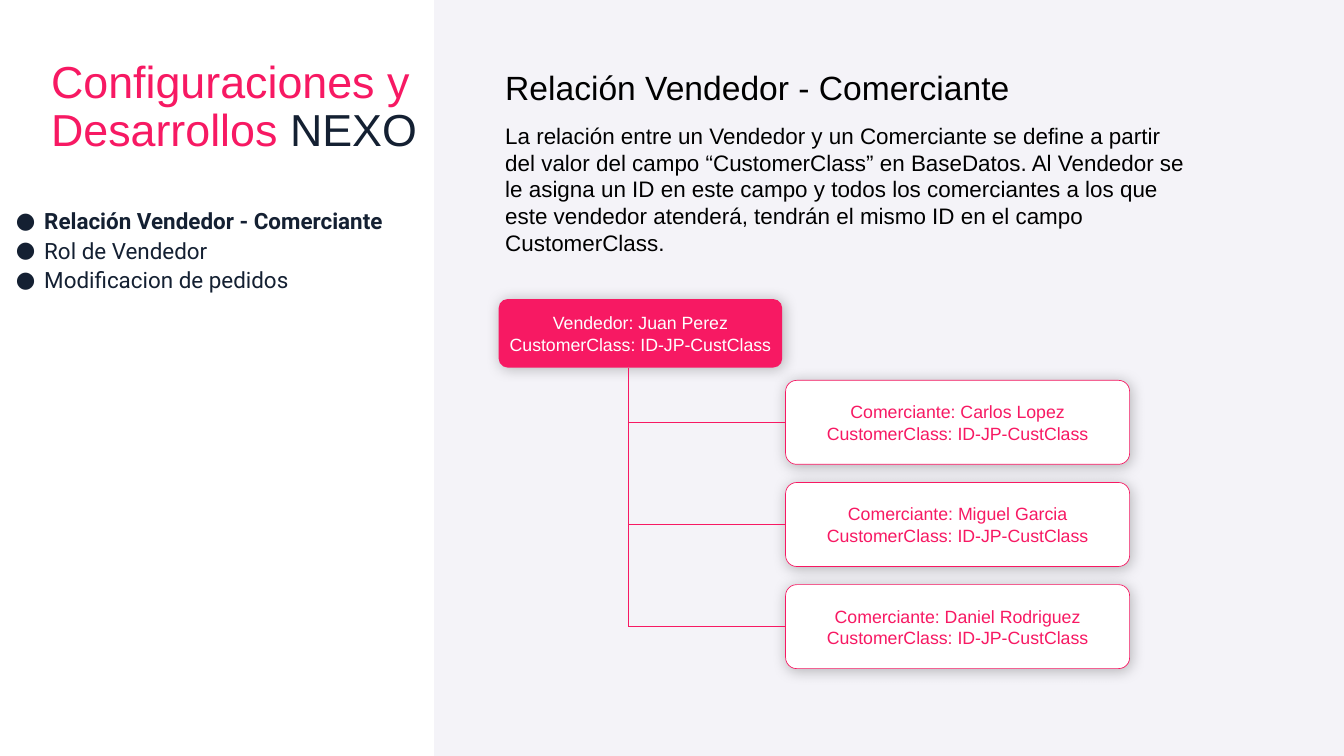
from lxml.etree import SubElement
from pptx import Presentation
from pptx.dml.color import RGBColor
from pptx.enum.shapes import MSO_CONNECTOR, MSO_SHAPE
from pptx.enum.text import MSO_ANCHOR, MSO_AUTO_SIZE, PP_ALIGN
from pptx.oxml.ns import qn
from pptx.util import Inches, Pt

PINK, NAVY, BLACK, WHITE, PANEL = "F71963", "142032", "000000", "FFFFFF", "F4F3F8"


def color(value):
    return RGBColor.from_string(value)


def write(paragraph, text, size, shade, font="Arial", bold=False):
    """Append one formatted span to the paragraph."""
    span = paragraph.add_run()
    span.text = text
    span.font.color.rgb = color(shade)
    for name, value in {"size": Pt(size), "name": font, "bold": bold}.items():
        setattr(span.font, name, value)


deck = Presentation()
deck.slide_width, deck.slide_height = Inches(20), Inches(11.25)
page = deck.slides.add_slide(deck.slide_layouts[6])

panel = page.shapes.add_shape(
    MSO_SHAPE.RECTANGLE, Inches(6.46), 0, Inches(13.54), Inches(11.25))
panel.shadow.inherit = False
panel.fill.solid()
panel.fill.fore_color.rgb = color(PANEL)
panel.line.fill.background()

# Text boxes: position, inner margin, anchor, autofit
frames = []
for place, margin, anchor, fit in (
    ((0.7, 0.83, 5.67, 1.53), 0.06, MSO_ANCHOR.TOP, MSO_AUTO_SIZE.NONE),
    ((0.06, 2.96, 6.4, 1.49), 0.1, MSO_ANCHOR.MIDDLE, MSO_AUTO_SIZE.SHAPE_TO_FIT_TEXT),
    ((7.42, 0.89, 10.3, 3.06), 0.1, MSO_ANCHOR.TOP, MSO_AUTO_SIZE.SHAPE_TO_FIT_TEXT),
):
    frame = page.shapes.add_textbox(*map(Inches, place)).text_frame
    frame.word_wrap = True
    frame.auto_size = fit
    frame.vertical_anchor = anchor
    for side in ("left", "top", "right", "bottom"):
        setattr(frame, f"margin_{side}", Inches(margin))
    frames.append(frame)
title, topics, body = frames

first, second = title.paragraphs[0], title.add_paragraph()
first.line_spacing = second.line_spacing = 0.9
write(first, "Configuraciones y", 48, PINK)
write(second, "Desarrollos ", 48, PINK)
write(second, "NEXO", 48, NAVY)

for index, topic in enumerate(
        ("Relación Vendedor - Comerciante", "Rol de Vendedor", "Modificacion de pedidos")):
    paragraph = topics.add_paragraph() if index else topics.paragraphs[0]
    paragraph.alignment = PP_ALIGN.JUSTIFY
    paragraph.line_spacing = 1.1
    properties = paragraph._p.get_or_add_pPr()
    properties.set("marL", str(Inches(0.5)))
    properties.set("indent", str(Inches(-0.42)))
    SubElement(SubElement(properties, qn("a:buClr")), qn("a:srgbClr"), val=NAVY)
    SubElement(properties, qn("a:buFont"), typeface="Roboto")
    SubElement(properties, qn("a:buChar"), char="●")
    write(paragraph, topic, 24, NAVY, "Roboto", bold=index == 0)

heading = body.paragraphs[0]
heading.space_after = Pt(16)
write(heading, "Relación Vendedor - Comerciante", 36, BLACK)
write(body.add_paragraph(),
      "La relación entre un Vendedor y un Comerciante se define a partir del valor del "
      "campo “CustomerClass” en BaseDatos. Al Vendedor se le asigna un ID en este campo y "
      "todos los comerciantes a los que este vendedor atenderá, tendrán el mismo ID en el "
      "campo CustomerClass.", 24, BLACK)

# Seller card followed by evenly spaced merchant cards
people = [("Vendedor: Juan Perez", (7.42, 4.45, 4.22, 1.02), PINK, WHITE)]
for index, name in enumerate(("Carlos Lopez", "Miguel Garcia", "Daniel Rodriguez")):
    place = (11.69, 5.66 + 1.52 * index, 5.12, 1.25)
    people.append((f"Comerciante: {name}", place, WHITE, PINK))

cards = []
for label, place, fill, ink in people:
    card = page.shapes.add_shape(MSO_SHAPE.ROUNDED_RECTANGLE, *map(Inches, place))
    card.adjustments[0] = 0.132
    card.fill.solid()
    card.fill.fore_color.rgb = color(fill)
    if fill == WHITE:
        card.line.color.rgb = color(PINK)
        card.line.width = Pt(0.75)
    else:
        card.line.fill.background()
    card.shadow.inherit = False
    effects = card._element.spPr.find(qn("a:effectLst"))
    shadow = SubElement(effects, qn("a:outerShdw"), blurRad=str(Pt(15.8)),
                        dist=str(Pt(2.2)), dir=str(55 * 60000), rotWithShape="0")
    SubElement(SubElement(shadow, qn("a:srgbClr"), val=BLACK), qn("a:alpha"), val="25000")
    frame = card.text_frame
    frame.word_wrap = True
    frame.vertical_anchor = MSO_ANCHOR.MIDDLE
    for side in ("left", "top", "right", "bottom"):
        setattr(frame, f"margin_{side}", Inches(0.1))
    for paragraph, text in ((frame.paragraphs[0], label),
                            (frame.add_paragraph(), "CustomerClass: ID-JP-CustClass")):
        paragraph.alignment = PP_ALIGN.CENTER
        write(paragraph, text, 19, ink)
    cards.append(card)

# Trunk below the seller, with one branch to each merchant
seller, *merchants = cards
trunk_x = Inches(9.35)
middles = [card.top + card.height // 2 for card in merchants]
routes = [(trunk_x, middles[-1], trunk_x, seller.top + seller.height, None)]
routes += [(trunk_x, y, card.left, y, card) for y, card in zip(middles, merchants)]
for *ends, target in routes:
    connector = page.shapes.add_connector(MSO_CONNECTOR.STRAIGHT, *ends)
    connector.line.color.rgb = color(PINK)
    connector.line.width = Pt(1.5)
    SubElement(connector._element.spPr, qn("a:effectLst"))
    if target is not None:
        connector.end_connect(target, 1)

deck.save("out.pptx")
